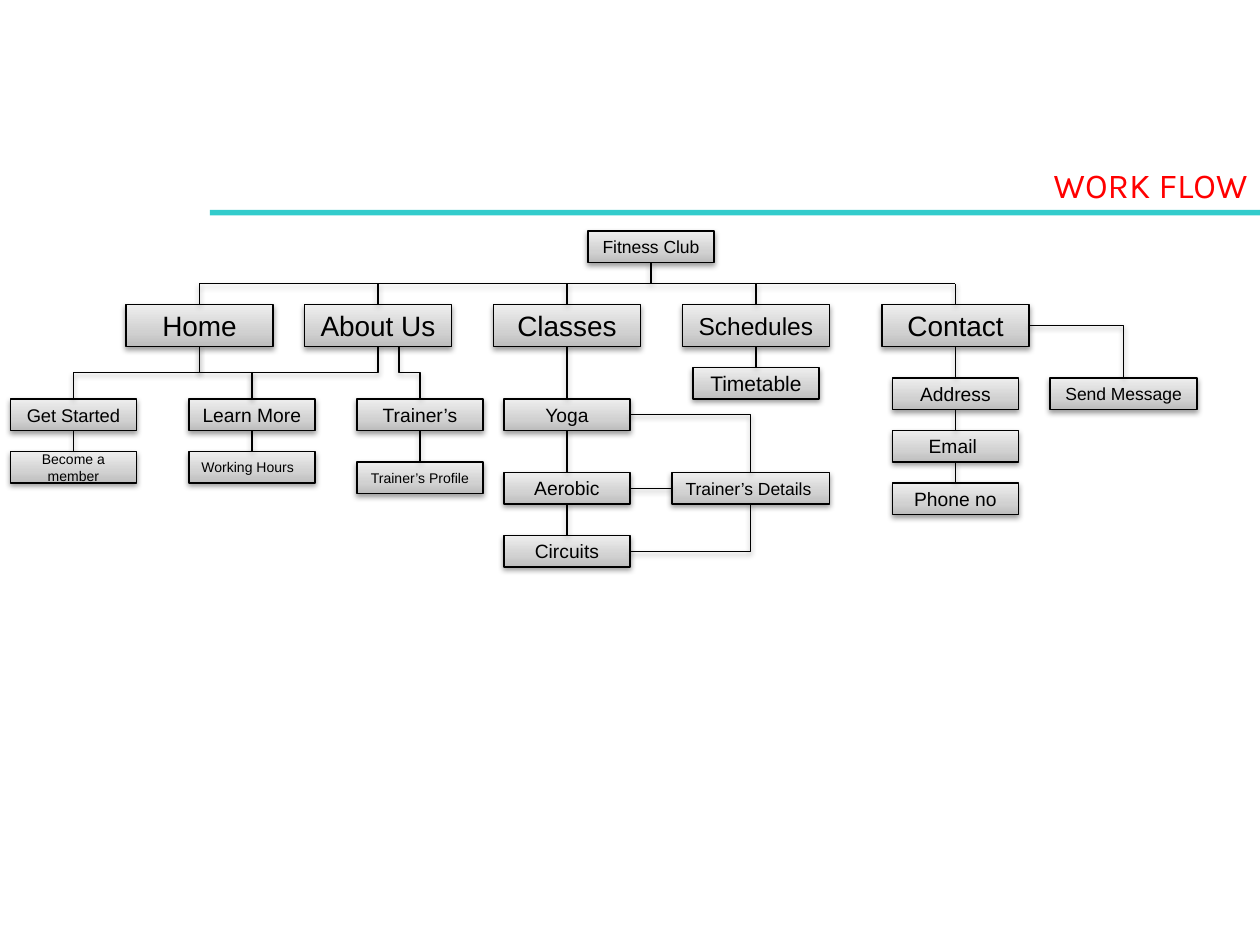
import copy
import pptx
import pptx.dml.color
import pptx.enum.dml
import pptx.enum.shapes
import pptx.enum.text
import pptx.oxml
import pptx.oxml.ns
import pptx.util

COLOURS = {
    "ink": "000000",
    "title": "FF0000",
    "rule": "33CCCC",
    "box_bottom": "BDBDBD",
    "box_middle": "D1D1D1",
    "box_top": "EEEEEE",
}
RGB = {name: pptx.dml.color.RGBColor.from_string(value) for name, value in COLOURS.items()}
ALIGN = pptx.enum.text.PP_ALIGN
KIND = pptx.enum.shapes.MSO_CONNECTOR
RECTANGLE = pptx.enum.shapes.MSO_SHAPE.RECTANGLE
TOP, LEFT, BOTTOM, RIGHT = range(4)
CELL = pptx.util.Cm(25.4) // 120
SHADOW = (
    '<a:effectLst xmlns:a="http://schemas.openxmlformats.org/drawingml/2006/main">'
    '<a:outerShdw blurRad="40000" dist="20000" dir="5400000" rotWithShape="0">'
    f'<a:srgbClr val="{COLOURS["ink"]}"><a:alpha val="38000"/></a:srgbClr>'
    "</a:outerShdw></a:effectLst>"
)

deck = pptx.Presentation()
deck.slide_width = pptx.util.Cm(25.4)
deck.slide_height = pptx.util.Cm(19.05)
slide = deck.slides.add_slide(deck.slide_layouts[6])


def write(frame, wording, alignment, font_format):
    paragraph = frame.paragraphs[0]
    paragraph.alignment = alignment
    run = paragraph.add_run()
    run.text = wording
    run.font.color.rgb = RGB[font_format["colour"]]
    for attribute in ("name", "size"):
        setattr(run.font, attribute, font_format[attribute])


def link(kind, *ends):
    line = slide.shapes.add_connector(kind, *(round(end * CELL) for end in ends))
    line.line.color.rgb = RGB["ink"]
    line.line.width = pptx.util.Pt(0.75)
    line._element.spPr.append(pptx.oxml.parse_xml(SHADOW))
    return line


title_rule = slide.shapes.add_shape(RECTANGLE, 20 * CELL, 20 * CELL, 100 * CELL, pptx.util.Cm(0.11))
title_rule.shadow.inherit = False
title_rule.fill.solid()
title_rule.fill.fore_color.rgb = RGB["rule"]
title_rule.line.fill.background()

title = slide.shapes.add_textbox(35 * CELL, 15 * CELL, 85 * CELL, pptx.util.Cm(1.11))
title_format = {"word_wrap": True, "auto_size": pptx.enum.text.MSO_AUTO_SIZE.SHAPE_TO_FIT_TEXT}
for attribute, value in title_format.items():
    setattr(title.text_frame, attribute, value)
write(title.text_frame, "WORK FLOW", ALIGN.RIGHT,
      {"name": "Karla", "size": pptx.util.Pt(20), "colour": "title"})

section_size, page_size = (14, 4), (12, 3)
pages = [
    ("Fitness Club", 56, 22, page_size, 10),
    ("Home", 12, 29, section_size, 16),
    ("About Us", 29, 29, section_size, 16),
    ("Classes", 47, 29, section_size, 16),
    ("Schedules", 65, 29, section_size, 14),
    ("Contact", 84, 29, section_size, 16),
    ("Get Started", 1, 38, page_size, 10.5),
    ("Learn More", 18, 38, page_size, 11),
    ("Trainer’s", 34, 38, page_size, 11),
    ("Become a member", 1, 43, page_size, 8),
    ("Working Hours", 18, 43, page_size, 8),
    ("Trainer’s Profile", 34, 44, page_size, 8),
    ("Yoga", 48, 38, page_size, 11),
    ("Aerobic", 48, 45, page_size, 11),
    ("Circuits", 48, 51, page_size, 11),
    ("Trainer’s Details ", 64, 45, (15, 3), 10),
    ("Timetable", 66, 35, page_size, 12),
    ("Address", 85, 36, page_size, 11),
    ("Email ", 85, 41, page_size, 11),
    ("Phone no", 85, 46, page_size, 11),
    ("Send Message", 100, 36, (14, 3), 10),
]
gradient = [(0, "box_bottom"), (0.35, "box_middle"), (1, "box_top")]
boxes = {}
for wording, left, top, (width, height), size in pages:
    box = slide.shapes.add_shape(RECTANGLE, left * CELL, top * CELL, width * CELL, height * CELL)
    box.fill.gradient()
    box.fill.gradient_angle = 90
    stops = box._element.spPr.find(".//" + pptx.oxml.ns.qn("a:gsLst"))
    stops.insert(1, copy.deepcopy(stops[0]))
    for stop, (position, colour) in zip(box.fill.gradient_stops, gradient):
        stop.position = position
        stop.color.rgb = RGB[colour]
    box.line.color.rgb = RGB["ink"]
    box.line.width = pptx.util.Pt(0.75)
    box._element.spPr.append(pptx.oxml.parse_xml(SHADOW))
    box.text_frame.vertical_anchor = pptx.enum.text.MSO_ANCHOR.MIDDLE
    alignment = ALIGN.JUSTIFY if wording == "Working Hours" else ALIGN.CENTER
    write(box.text_frame, wording, alignment,
          {"name": "Arial", "size": pptx.util.Pt(size), "colour": "ink"})
    boxes[wording.strip()] = box

link(KIND.STRAIGHT, 19, 27, 91, 27)
link(KIND.STRAIGHT, 62, 25, 62, 27).begin_connect(boxes["Fitness Club"], BOTTOM)
sections = {"Home": 19, "About Us": 36, "Classes": 54, "Schedules": 72, "Contact": 91}
for section, centre in sections.items():
    link(KIND.STRAIGHT, centre, 27, centre, 29).end_connect(boxes[section], TOP)

chains = [
    ("Get Started", "Become a member"),
    ("Learn More", "Working Hours"),
    ("Trainer’s", "Trainer’s Profile"),
    ("Classes", "Yoga", "Aerobic", "Circuits"),
    ("Schedules", "Timetable"),
    ("Contact", "Address", "Email", "Phone no"),
]
joins = [(upper, BOTTOM, lower, TOP) for chain in chains for upper, lower in zip(chain, chain[1:])]
joins.append(("Aerobic", RIGHT, "Trainer’s Details", LEFT))
for start, start_side, finish, finish_side in joins:
    join = link(KIND.STRAIGHT, 0, 0, 0, 0)
    join.begin_connect(boxes[start], start_side)
    join.end_connect(boxes[finish], finish_side)

section_foot, page_head = 33, 38
drop = page_head - section_foot
middle = (section_foot + page_head) / 2
for start, finish in [(19, 7), (19, 24), (36, 24), (38, 40)]:
    centre, shift = (start + finish) / 2, finish - start
    branch = link(KIND.ELBOW, centre - drop / 2, middle + shift / 2,
                  centre + drop / 2, middle - shift / 2)
    branch._element.spPr.find(pptx.oxml.ns.qn("a:xfrm")).set("rot", "5400000")

for corner in [(60, 39.5, 71.5, 45), (60, 52.5, 71.5, 48), (98, 31, 107, 36)]:
    turn = link(KIND.ELBOW, *corner)
    turn._element.spPr.find(pptx.oxml.ns.qn("a:prstGeom")).set("prst", "bentConnector2")

deck.save("out.pptx")
